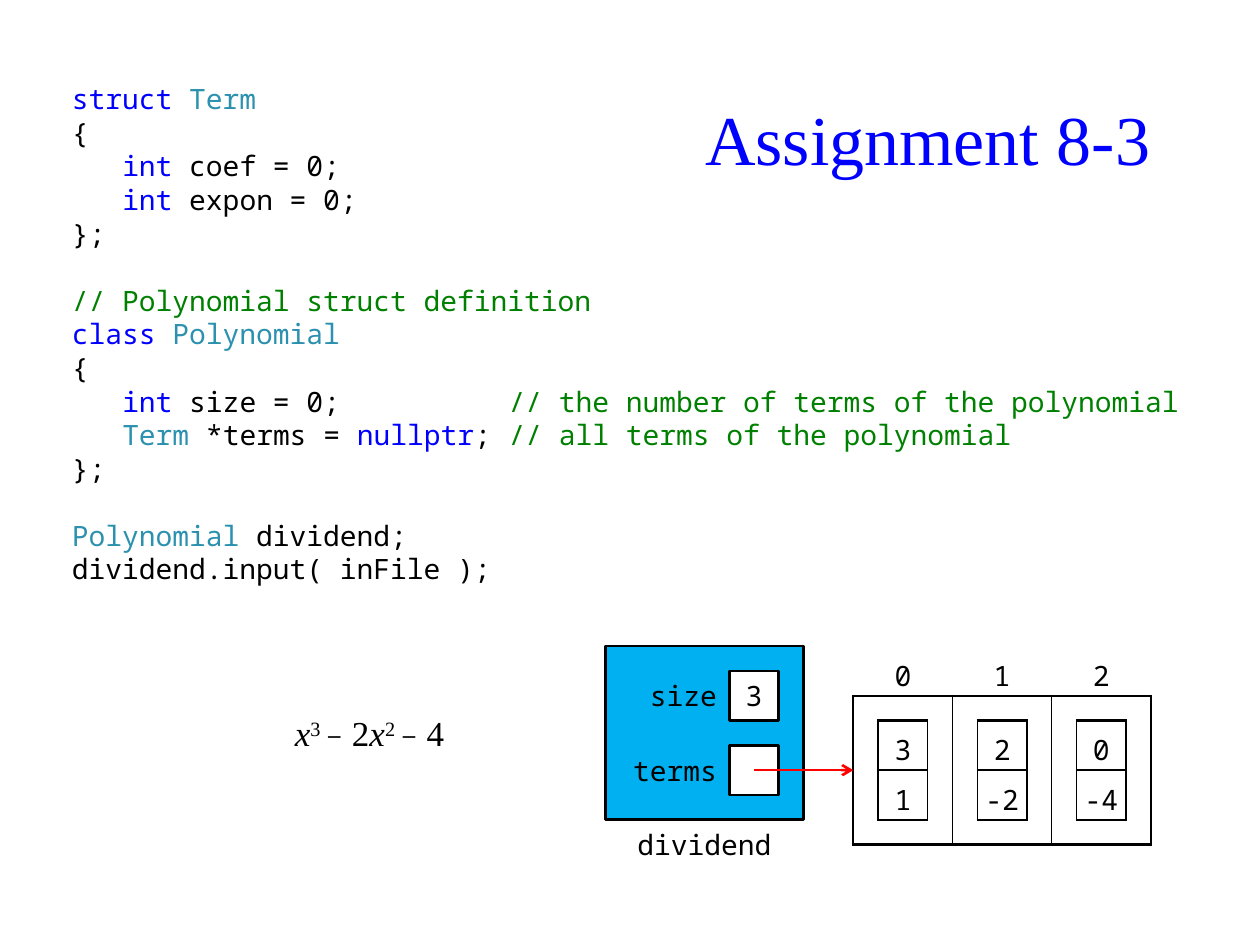
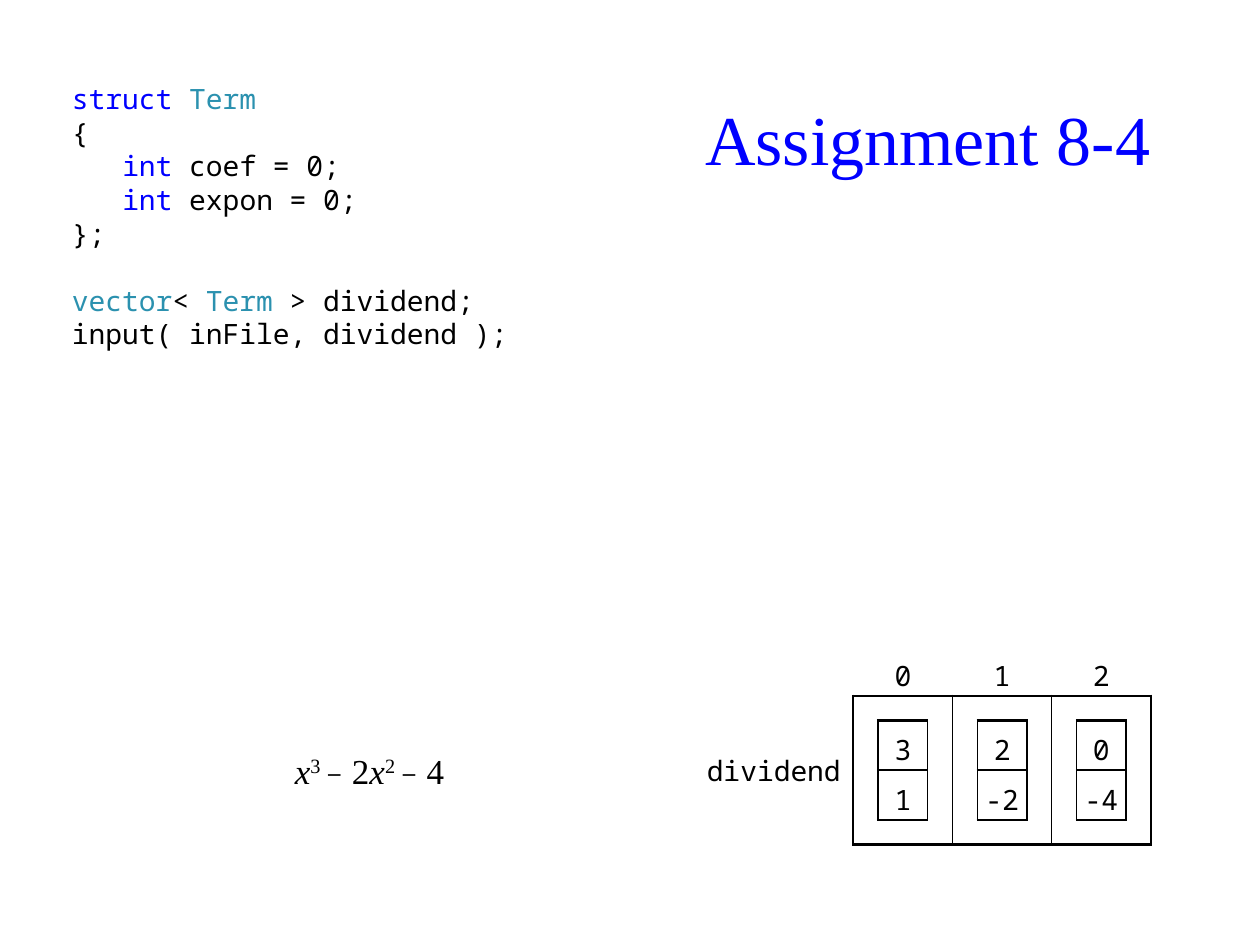
"""Two slides on storing a polynomial: in a class and in a vector of terms."""
import itertools
from dataclasses import dataclass

import pptx
import pptx.dml.color
import pptx.enum.shapes
import pptx.enum.text
import pptx.oxml.ns
import pptx.util
from lxml import etree

Pt = pptx.util.Pt
ALIGN = pptx.enum.text.PP_ALIGN
ANCHOR = pptx.enum.text.MSO_ANCHOR


@dataclass(frozen=True)
class Theme:
    """Colours, fonts, sizes and the one-centimetre drawing grid."""
    black: str = "000000"
    white: str = "FFFFFF"
    blue: str = "0000FF"
    type_name: str = "2B91AF"
    comment: str = "008000"
    object_fill: str = "00B0F0"
    arrow: str = "FF0000"
    mono: str = "Noto Sans Mono"
    serif: str = "Times New Roman"
    symbol: str = "Cambria"
    title_size: float = 40
    formula_size: float = 20
    symbol_size: float = 18
    code_size: float = 16
    code_pitch: float = 19.2
    char_width: float = 9.6
    thick: float = 1.5
    thin: float = 1
    unit: float = 28.35
    left: float = 34
    top: float = 43.2


T = Theme()
KEYWORDS = {"struct", "class", "int", "nullptr"}
TYPES = {"Term", "Polynomial", "vector"}
TERMS = [("3", "1"), ("2", "-2"), ("0", "-4")]
TAB_COLUMNS = (3, 26)

# An empty line opens a gap; tabs lead to the columns above.
TERM_CODE = """struct Term
{
\tint coef = 0;
\tint expon = 0;
};

"""
CLASS_CODE = TERM_CODE + """// Polynomial struct definition
class Polynomial
{
\tint size = 0;\t// the number of terms of the polynomial
\tTerm *terms = nullptr;\t// all terms of the polynomial
};

Polynomial dividend;
dividend.input( inFile );"""
VECTOR_CODE = TERM_CODE + """vector< Term > dividend;
input( inFile, dividend );"""


def rgb(color):
    """Return a colour object for a hex string."""
    return pptx.dml.color.RGBColor.from_string(color)


def grid_box(x, y, w, h):
    """Turn grid units into left, top, width and height."""
    u = T.unit
    return Pt(T.left + x * u), Pt(T.top + y * u), Pt(w * u), Pt(h * u)


def style_run(r, font=T.mono, size=T.code_size, color=T.black):
    """Set font, size and colour of a run."""
    r.font.name = font
    r.font.size = Pt(size)
    r.font.color.rgb = rgb(color)


def add_text(s, box, text="", align=ALIGN.CENTER, anchor=ANCHOR.MIDDLE, **style):
    """Add a wrapping text box with one styled paragraph; return its frame."""
    tf = s.shapes.add_textbox(*grid_box(*box)).text_frame
    tf.word_wrap = True
    tf.vertical_anchor = anchor
    if align == ALIGN.RIGHT:
        tf.margin_left = 0
    p = tf.paragraphs[0]
    p.alignment = align
    if text:
        p.text = text
        style_run(p.runs[0], **style)
    return tf


def word_color(word):
    """Return the syntax colour of a word."""
    if word in KEYWORDS:
        return T.blue
    return T.type_name if word in TYPES else T.black


def color_tokens(line):
    """Split a code line into (text, colour) pieces."""
    code, slashes, comment = line.partition("//")
    words = ["".join(g) for _, g in itertools.groupby(code, str.isalnum)]
    pieces = [("".join(g), c) for c, g in itertools.groupby(words, word_color)]
    if slashes:
        pieces.append((slashes + comment, T.comment))
    return pieces


def add_tab_stops(p):
    """Set the tab stops of a code line."""
    tabs = etree.SubElement(p._p.get_or_add_pPr(), pptx.oxml.ns.qn("a:tabLst"))
    for column in TAB_COLUMNS:
        etree.SubElement(tabs, pptx.oxml.ns.qn("a:tab"),
                         pos=str(Pt(column * T.char_width)), algn="l")


def add_code(s, code):
    """Add a listing with syntax colours."""
    tf = add_text(s, (0, 0, 23, 10.5), align=ALIGN.LEFT, anchor=ANCHOR.TOP)
    p, gap = tf.paragraphs[0], 0
    for i, line in enumerate(code.splitlines()):
        if not line:
            gap = T.code_pitch
            continue
        if i:
            p = tf.add_paragraph()
        p.line_spacing = Pt(T.code_pitch)
        p.space_before = Pt(gap)
        gap = 0
        if "\t" in line:
            add_tab_stops(p)
        for text, color in color_tokens(line):
            r = p.add_run()
            r.text = text
            style_run(r, color=color)


def add_formula(s, y, h):
    """Add the polynomial with raised exponents."""
    p = add_text(s, (4, y, 4, h), align=ALIGN.RIGHT).paragraphs[0]
    for text in ("x", "3 ", "\u2212", " 2", "x", "2 ", "\u2212", " 4"):
        r = p.add_run()
        r.text = text
        if text == "\u2212":
            style_run(r, T.symbol, T.symbol_size)
        else:
            style_run(r, T.serif, T.formula_size)
        if text == "x":
            r.font.italic = True
        elif text.endswith(" "):
            r.font._element.set("baseline", "30000")


def add_rect(s, box, fill, text=""):
    """Add an outlined rectangle with optional text."""
    sp = s.shapes.add_shape(pptx.enum.shapes.MSO_SHAPE.RECTANGLE, *grid_box(*box))
    sp.shadow.inherit = False
    sp.fill.solid()
    sp.fill.fore_color.rgb = rgb(fill)
    sp.line.color.rgb = rgb(T.black)
    sp.line.width = Pt(T.thick)
    if text:
        tf = sp.text_frame
        tf.margin_left = tf.margin_right = tf.margin_top = tf.margin_bottom = 0
        tf.text = text
        tf.paragraphs[0].alignment = ALIGN.CENTER
        style_run(tf.paragraphs[0].runs[0])


def add_arrow(s, x1, x2, y):
    """Add a horizontal pointer arrow."""
    left, top, width, _ = grid_box(x1, y, x2 - x1, 0)
    cn = s.shapes.add_connector(pptx.enum.shapes.MSO_CONNECTOR.STRAIGHT,
                                left, top, left + width, top)
    cn.line.color.rgb = rgb(T.arrow)
    cn.line.width = Pt(T.thick)
    etree.SubElement(cn.line._get_or_add_ln(), pptx.oxml.ns.qn("a:tailEnd"), type="arrow")
    etree.SubElement(cn._element.spPr, pptx.oxml.ns.qn("a:effectLst"))


def set_borders(cell, widths):
    """Set left, right, top and bottom borders; zero means none."""
    tcPr = cell._tc.get_or_add_tcPr()
    for side, width in zip("LRTB", widths):
        ln = etree.SubElement(tcPr, pptx.oxml.ns.qn("a:ln" + side), w=str(Pt(width)))
        if width:
            fill = etree.SubElement(ln, pptx.oxml.ns.qn("a:solidFill"))
            etree.SubElement(fill, pptx.oxml.ns.qn("a:srgbClr"), val=T.black)
        else:
            etree.SubElement(ln, pptx.oxml.ns.qn("a:noFill"))


def add_grid(s, x, y, col_width, heights, rows, borders):
    """Add an unfilled table; borders(row, column) gives the four widths."""
    columns = len(rows[0])
    box = grid_box(x, y, col_width * columns, sum(heights))
    tbl = s.shapes.add_table(len(rows), columns, *box).table
    tbl.first_row = tbl.horz_banding = False
    for col in tbl.columns:
        col.width = Pt(col_width * T.unit)
    for i, (height, texts) in enumerate(zip(heights, rows)):
        tbl.rows[i].height = Pt(height * T.unit)
        for j, text in enumerate(texts):
            cell = tbl.cell(i, j)
            cell.margin_left = cell.margin_right = 0
            cell.margin_top = cell.margin_bottom = 0
            cell.vertical_anchor = ANCHOR.MIDDLE
            set_borders(cell, borders(i, j))
            cell.fill.background()
            if text:
                p = cell.text_frame.paragraphs[0]
                p.text = text
                p.alignment = ALIGN.CENTER
                p.line_spacing = 1.25
                style_run(p.runs[0])


def left_width(column):
    """Return the left border width for an array column."""
    return T.thin if column else T.thick


def add_array(s):
    """Add the indexed array frame."""
    def borders(row, column):
        if row == 0:
            return 0, 0, 0, T.thick
        return left_width(column), T.thin, T.thick, T.thick

    indexes = [str(i) for i in range(len(TERMS))]
    add_grid(s, 16, 11.5, 2, (1, 3), [indexes, [""] * len(TERMS)], borders)


def add_terms(s):
    """Add one two-cell table per term inside the array."""
    for i, term in enumerate(TERMS):
        widths = (left_width(i), T.thin, T.thick, T.thick)
        add_grid(s, 16.5 + 2 * i, 13, 1, (1, 1), [[v] for v in term],
                 lambda row, column: widths)


def add_object(s):
    """Add the dividend object with its two members."""
    add_rect(s, (11, 11.5, 4, 3.5), T.object_fill)
    for y, name, value in ((12, "size", "3"), (13.5, "terms", "")):
        add_rect(s, (13.5, y, 1, 1), T.white, value)
        add_text(s, (11.5, y, 2, 1), name, ALIGN.RIGHT)
    add_text(s, (11, 15, 4, 1), "dividend")


def add_slide(prs, title, code):
    """Add a blank slide with listing and title."""
    s = prs.slides.add_slide(prs.slide_layouts[6])
    add_code(s, code)
    add_text(s, (12.5, 0, 10, 2.5), title, font=T.serif, size=T.title_size, color=T.blue)
    return s


def main():
    """Build both slides and save them."""
    prs = pptx.Presentation()
    prs.slide_width, prs.slide_height = Pt(720), Pt(540)

    s = add_slide(prs, "Assignment 8-3", CLASS_CODE)
    add_object(s)
    add_formula(s, 12.5, 1.5)
    add_array(s)
    add_arrow(s, 14, 16, 14)
    add_terms(s)

    s = add_slide(prs, "Assignment 8-4", VECTOR_CODE)
    add_formula(s, 13.5, 1)
    add_array(s)
    add_text(s, (12.5, 13.5, 3.5, 1), "dividend", ALIGN.RIGHT)
    add_terms(s)

    prs.save("out.pptx")


main()
